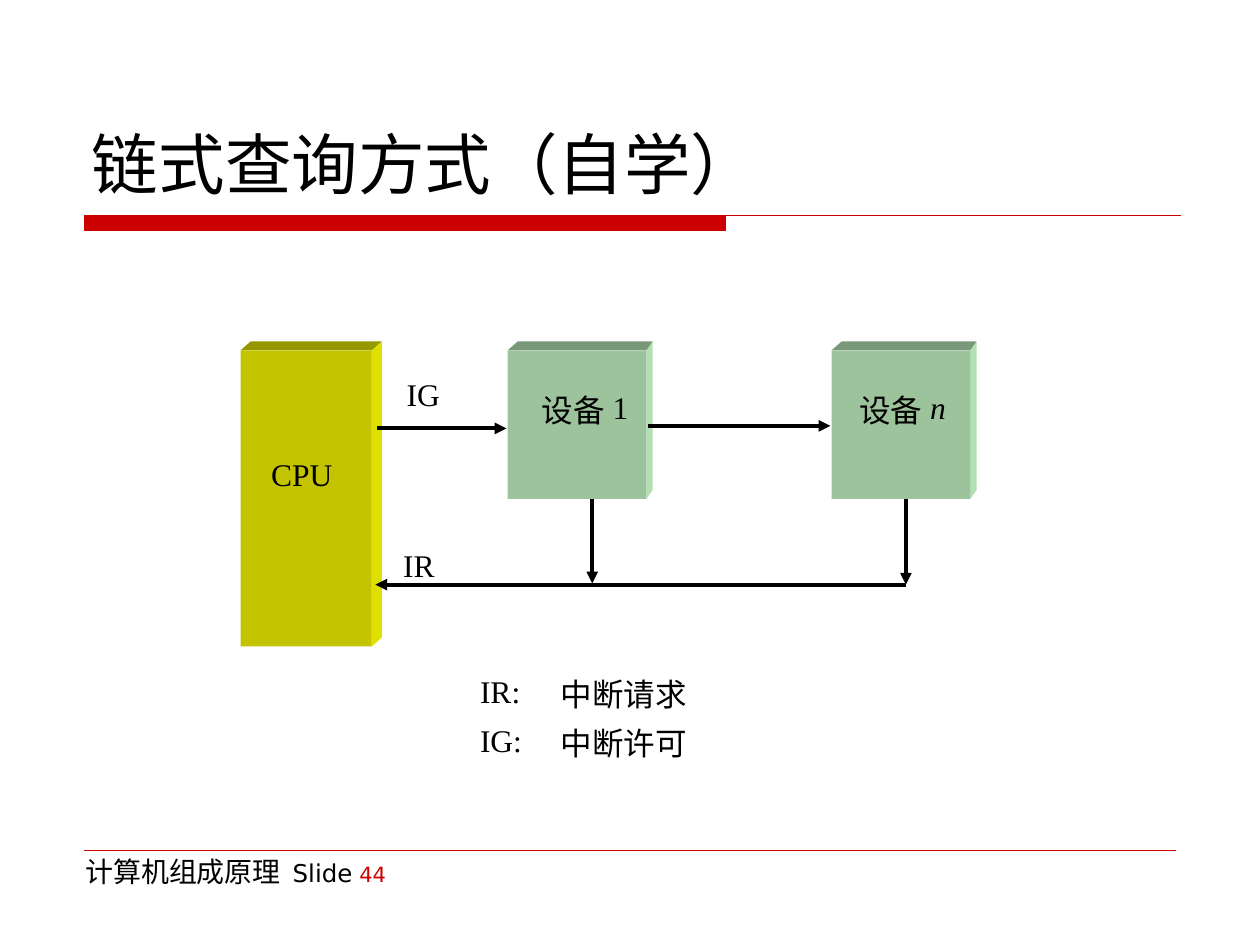
from lxml.etree import SubElement
from pptx import Presentation
from pptx.dml.color import RGBColor
from pptx.enum.shapes import MSO_CONNECTOR, MSO_SHAPE
from pptx.enum.text import MSO_ANCHOR, MSO_AUTO_SIZE, PP_ALIGN
from pptx.oxml.ns import qn
from pptx.util import Inches, Pt

HUES = {
    "ink": "000000", "red": "CC0000",
    "cpu": "C3C300", "cpu top": "979700", "cpu side": "E0E000",
    "unit": "9CC39C", "unit top": "799779", "unit side": "B3E0B3",
}
SERIF, SANS, HAN = "Times New Roman", "DejaVu Sans", "Noto Sans CJK SC"

deck = Presentation()
deck.slide_width, deck.slide_height = Inches(10), Inches(7.5)
cell = deck.slide_width // 100  # grid of 100 columns by 75 rows
slide = deck.slides.add_slide(deck.slide_layouts[5])
shapes = slide.shapes


def write(text, box=None, at=None, face=SERIF, size=18, hue="ink",
          italic=False, align=PP_ALIGN.CENTER, inset=0, wrap=False):
    """Add a run to box, or to a new text box placed at grid units."""
    if box is None:
        box = shapes.add_textbox(*[int(n * cell) for n in at])
        frame = box.text_frame
        frame.word_wrap = wrap
        frame.auto_size = MSO_AUTO_SIZE.NONE
        frame.margin_left = frame.margin_right = Inches(inset)
        frame.margin_top = frame.margin_bottom = Inches(inset / 2)
    line = box.text_frame.paragraphs[0]
    line.alignment = align
    run = line.add_run()
    run.text = text
    font = run.font
    font.name, font.size, font.italic = face, Pt(size), italic
    font.color.rgb = RGBColor.from_string(HUES[hue])
    SubElement(run._r.get_or_add_rPr(), qn("a:ea")).set("typeface", HAN)
    return box


def draw(points, hue):
    """Fill a closed outline given in grid units."""
    spots = [(int(x * cell), int(y * cell)) for x, y in points]
    pen = shapes.build_freeform(*spots[0])
    pen.add_line_segments(spots[1:], close=True)
    form = pen.convert_to_shape()
    form.shadow.inherit = False
    form.fill.solid()
    form.fill.fore_color.rgb = RGBColor.from_string(HUES[hue])
    form.line.fill.background()


# Title and red bar
title = shapes.title
title.left, title.top, title.width, title.height = [
    int(n * cell) for n in (6.3, 3.3, 87.5, 13.3)]
title.text_frame.vertical_anchor = MSO_ANCHOR.BOTTOM
title.text_frame.auto_size = MSO_AUTO_SIZE.NONE
write("链式查询方式（自学）", title, face=SANS, size=38, align=PP_ALIGN.LEFT)
draw([(6.7, 17.1), (57.6, 17.1), (57.6, 18.3), (6.7, 18.3)], "red")

# Footer
foot = None
for text, size, hue in [("计算机组成原理 ", 16, "ink"), (" Slide", 14, "ink"),
                        (" ", 12, "ink"), ("44", 12, "red")]:
    foot = write(text, foot, at=(5.8, 67.3, 30, 5.2), face=SANS, size=size,
                 hue=hue, align=PP_ALIGN.LEFT, inset=0.1, wrap=True)

# Blocks: left, width, height, depth of side, colour
top, rise, skew = 27.8, 0.7, 0.8
for left, wide, high, deep, hue in [(19.1, 10.4, 23.5, 0.8, "cpu"),
                                    (66, 11, 11.8, 0.5, "unit"),
                                    (40.3, 11, 11.8, 0.5, "unit")]:
    right, base, back = left + wide, top + high, top - rise
    draw([(right, base), (right, top), (right + deep, back),
          (right + deep, base - rise)], hue + " side")
    draw([(right, top), (left, top), (left + skew, back),
          (right + deep, back)], hue + " top")
    front = shapes.add_shape(MSO_SHAPE.RECTANGLE, *[
        int(n * cell) for n in (left, top, wide, high)])
    front.shadow.inherit = False
    front.fill.solid()
    front.fill.fore_color.rgb = RGBColor.from_string(HUES[hue])
    front.line.fill.background()

# Labels
for text, x, y, wide in [("IG", 32.3, 29.8, 2.6), ("IR", 32, 43.3, 2.5),
                         ("CPU", 21.5, 36.1, 4.9), ("1", 48.6, 30.8, 1.3)]:
    write(text, at=(x, y, wide, 3))
write("n", at=(73.8, 30.8, 1.3, 3), italic=True)
for x in (43, 68.2):
    write("设备", at=(x, 31, 5, 3), face=HAN)

# Legend
for row, (key, text) in enumerate([("IR:", "中断请求"), ("IG:", "中断许可")]):
    y = 53.3 + 3.9 * row
    write(key, at=(38.1, y, 4.5, 3), align=PP_ALIGN.LEFT)
    write(text, at=(44.5, y + 0.3, 10, 3), face=HAN)

# Rules and arrows
for x1, y1, x2, y2, hue, size, tip in [
        (6.7, 17.1, 93.7, 17.1, "red", 0.75, False),
        (6.7, 67.5, 93.3, 67.5, "red", 0.25, False),
        (29.9, 34, 40.2, 34, "ink", 2.25, True),
        (51.4, 33.8, 65.9, 33.8, "ink", 2.25, True),
        (47, 39.6, 47, 46.3, "ink", 2.25, True),
        (71.9, 39.6, 71.9, 46.4, "ink", 2.25, True),
        (71.9, 46.4, 29.8, 46.4, "ink", 2.25, True)]:
    link = shapes.add_connector(MSO_CONNECTOR.STRAIGHT, *[
        int(n * cell) for n in (x1, y1, x2, y2)])
    link.line.width = Pt(size)
    link.line.color.rgb = RGBColor.from_string(HUES[hue])
    if tip:
        SubElement(link.line._ln, qn("a:tailEnd")).set("type", "triangle")
    SubElement(link._element.spPr, qn("a:effectLst"))

deck.save("out.pptx")
